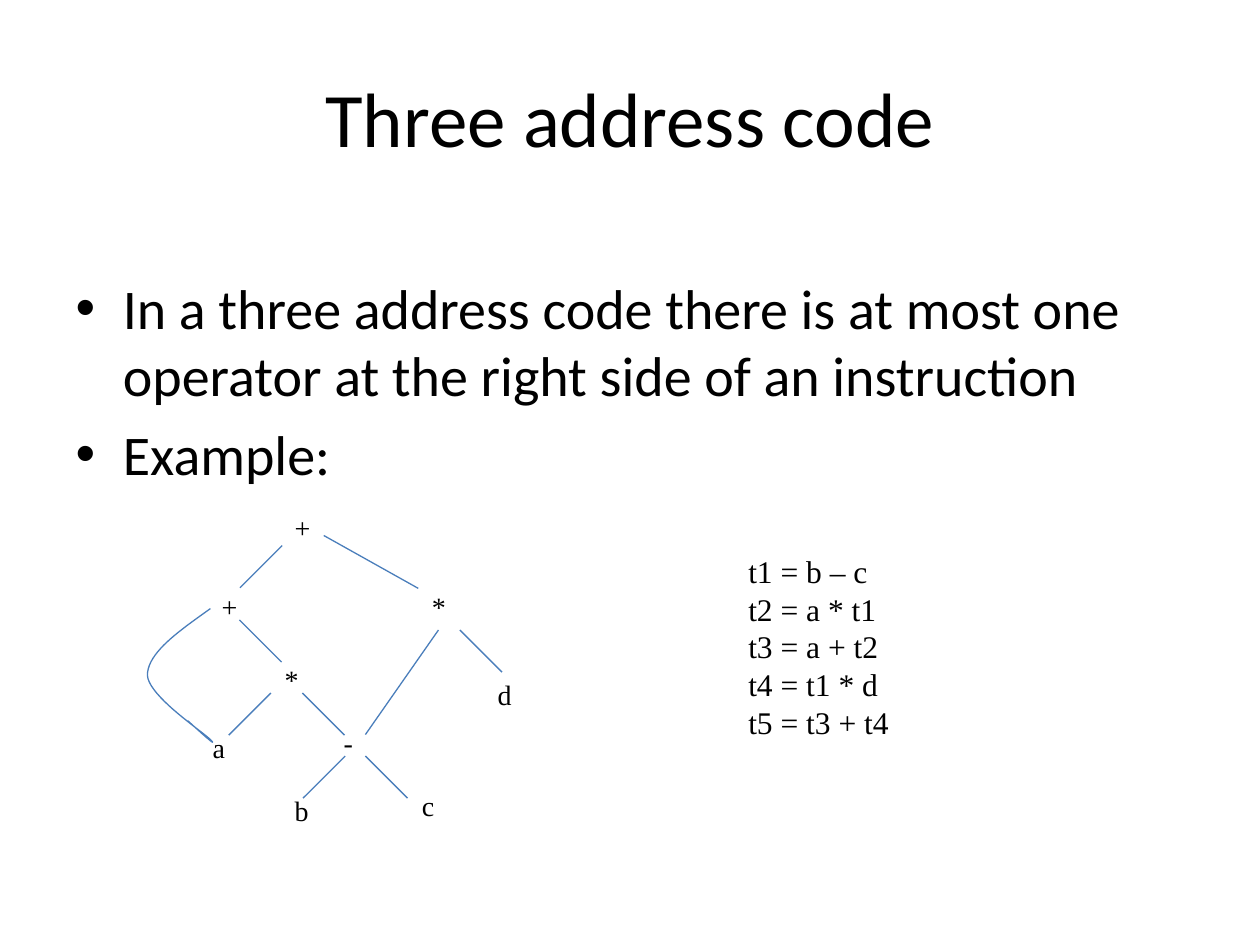
from pptx import Presentation, util as u
from pptx.dml.color import RGBColor
from pptx.enum import text
from pptx.oxml.ns import qn
from lxml import etree

# Content
TITLE = "Three address code"
BULLETS = [
    "In a three address code there is at most one operator at the right side of an instruction",
    "Example:",
]
INSTRUCTIONS = ["t1 = b – c", "t2 = a * t1", "t3 = a + t2", "t4 = t1 * d", "t5 = t3 + t4"]
# Graph nodes: label, left, top, width
NODES = [
    ("+", 2.24, 4, 0.32), ("+", 1.66, 4.63, 0.32), ("*", 3.33, 4.63, 0.31),
    ("*", 2.16, 5.21, 0.31), ("-", 2.63, 5.71, 0.27), ("b", 2.24, 6.25, 0.31),
    ("c", 3.25, 6.21, 0.3), ("a", 1.59, 5.75, 0.3), ("d", 3.85, 5.33, 0.31),
]
NODE_HEIGHT = 0.36
# Graph edges: upper end, then horizontal and vertical run
STEP = 0.335
EDGES = [
    (2.24, 4.33, -STEP, STEP), (2.57, 4.25, 0.75, 0.42), (1.9, 4.92, STEP, STEP),
    (2.15, 5.5, -STEP, STEP), (2.4, 5.5, STEP, STEP), (3.48, 5, -0.58, 0.83),
    (3.65, 5, STEP, STEP), (2.74, 6, -STEP, STEP), (2.9, 6, STEP, STEP),
]
# Bezier pieces of the arc from the left "+" down to "a"
ARC = [
    [(1.67, 4.83), (1.42, 5.01), (1.17, 5.18), (1.17, 5.36)],
    [(1.17, 5.36), (1.18, 5.53), (1.63, 5.82), (1.68, 5.88)],
    [(1.68, 5.88), (1.73, 5.94), (1.49, 5.72), (1.49, 5.72)],
]
BLACK, BLUE = "000000", "4A7EBB"


def color(value):
    return RGBColor.from_string(value)


def place(shape, left, top, width, height):
    values = dict(left=left, top=top, width=width, height=height)
    for name, inches in values.items():
        setattr(shape, name, u.Inches(inches))


def write(shape, lines, size, font):
    frame = shape.text_frame
    frame.text = "\n".join(lines)
    for para in frame.paragraphs:
        for span in para.runs:
            for name, value in dict(size=u.Pt(size), name=font).items():
                setattr(span.font, name, value)
            span.font.color.rgb = color(BLACK)


def add_label(lines, area, size):
    box = page.shapes.add_textbox(0, 0, 0, 0)
    write(box, lines, size, "Times New Roman")
    box.text_frame.word_wrap = False
    place(box, *area)


def style_line(shape):
    shape.line.color.rgb = color(BLUE)
    shape.line.width = u.Pt(0.75)


def bezier(points, t):
    weights = ((1 - t) ** 3, 3 * t * (1 - t) ** 2, 3 * t ** 2 * (1 - t), t ** 3)
    return tuple(sum(w * p[axis] for w, p in zip(weights, points)) for axis in (0, 1))


deck = Presentation()
deck.slide_width, deck.slide_height = u.Inches(10), u.Inches(7.5)
page = deck.slides.add_slide(deck.slide_layouts[1])

# Title and bullets
title, body = page.placeholders
for holder, lines, area, size, anchor in [
    (title, [TITLE], (0.5, 0.3, 9, 1.25), 44, text.MSO_ANCHOR.MIDDLE),
    (body, BULLETS, (0.5, 2.12, 9, 1.8), 32, text.MSO_ANCHOR.TOP),
]:
    place(holder, *area)
    write(holder, lines, size, "Calibri")
    holder.text_frame.auto_size = text.MSO_AUTO_SIZE.NONE
    holder.text_frame.vertical_anchor = anchor

# Expression graph
for label, left, top, width in NODES:
    add_label([label], (left, top, width, NODE_HEIGHT), 16)
for x, y, run, drop in EDGES:
    ends = [u.Inches(value) for value in (x, y, x + run, y + drop)]
    edge = page.shapes.add_connector(1, *ends)
    style_line(edge)
    etree.SubElement(edge.element.spPr, qn("a:effectLst"))

SAMPLES = 20
curve = [bezier(piece, i / SAMPLES) for piece in ARC for i in range(SAMPLES + 1)]
start, *rest = [(u.Inches(x), u.Inches(y)) for x, y in curve]
builder = page.shapes.build_freeform(*start)
builder.add_line_segments(rest, close=False)
arc = builder.convert_to_shape()
arc.fill.background()
arc.shadow.inherit = False
style_line(arc)

# Generated code
add_label(INSTRUCTIONS, (5.84, 4.33, 1.32, 1.9), 18)

deck.save("out.pptx")
